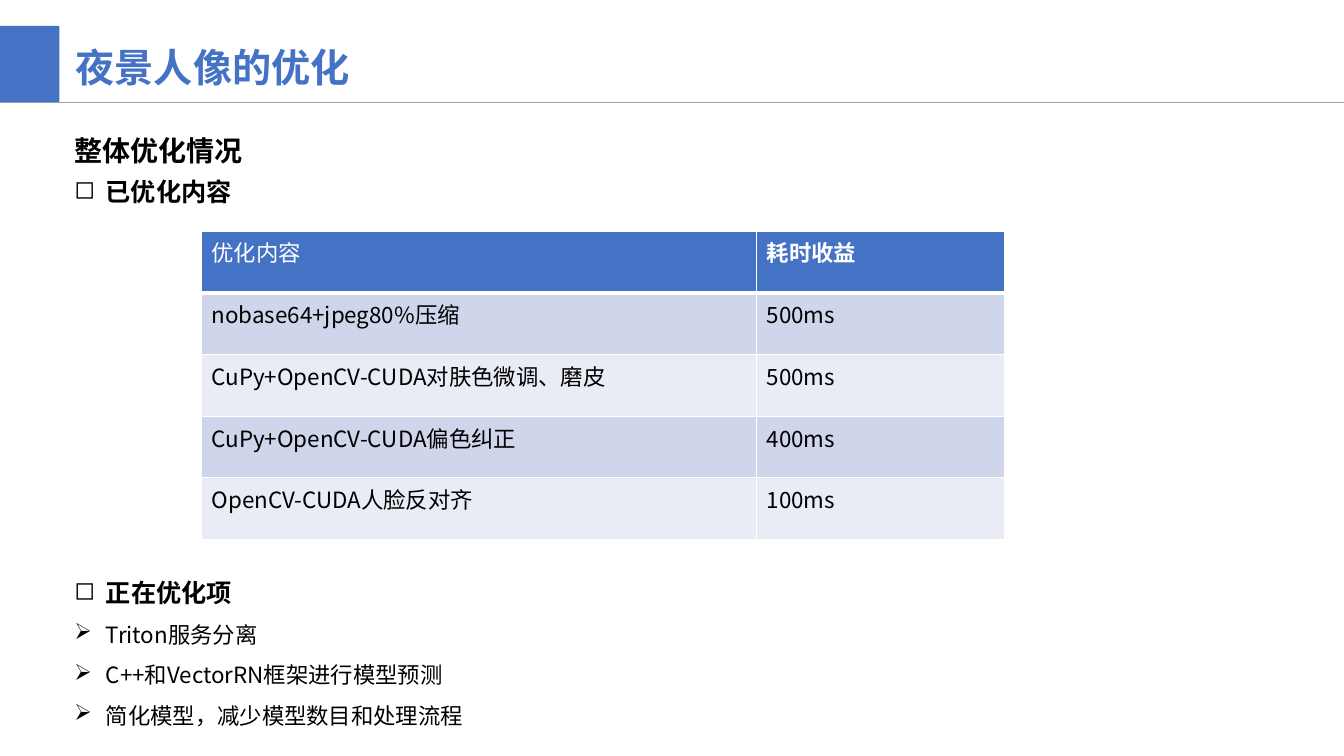
from lxml import etree
from pptx import Presentation
from pptx.dml.color import RGBColor
from pptx.enum.shapes import MSO_CONNECTOR, MSO_SHAPE
from pptx.oxml.ns import qn
from pptx.util import Pt

BLUE, GREY, WHITE, BLACK = "4472C4", "A5A5A5", "FFFFFF", "000000"
BANDS = ("CFD5EA", "E9EBF5")
CJK_FONT = "Noto Sans CJK SC"
INDENT = 22.5

OPTIMISATIONS = [
    ("优化内容", "耗时收益"),
    ("nobase64+jpeg80%压缩", "500ms"),
    ("CuPy+OpenCV-CUDA对肤色微调、磨皮", "500ms"),
    ("CuPy+OpenCV-CUDA偏色纠正", "400ms"),
    ("OpenCV-CUDA人脸反对齐", "100ms"),
]
IN_PROGRESS = [
    "Triton服务分离",
    "C++和VectorRN框架进行模型预测",
    "简化模型，减少模型数目和处理流程",
]


def color(value):
    return RGBColor.from_string(value)


def add_run(paragraph, text, size, bold=False, fill=BLACK, font=CJK_FONT):
    run = paragraph.add_run()
    run.text = text
    run.font.size = Pt(size)
    run.font.bold = bold
    run.font.name = font
    run.font.color.rgb = color(fill)
    east_asian = etree.SubElement(run._r.get_or_add_rPr(), qn("a:ea"))
    east_asian.set("typeface", CJK_FONT)


def set_bullet(paragraph, symbol):
    properties = paragraph._p.get_or_add_pPr()
    properties.set("marL", str(Pt(INDENT)))
    properties.set("indent", str(-Pt(INDENT)))
    etree.SubElement(properties, qn("a:buChar")).set("char", symbol)


def add_text_box(slide, left, top, width, height):
    frame = slide.shapes.add_textbox(Pt(left), Pt(top), Pt(width), Pt(height)).text_frame
    frame.word_wrap = False
    return frame


def add_section(slide, top, width, height, heading, items=()):
    frame = add_text_box(slide, 46, top, width, height)
    set_bullet(frame.paragraphs[0], "◻")
    add_run(frame.paragraphs[0], heading, 18, bold=True)
    for item in items:
        paragraph = frame.add_paragraph()
        set_bullet(paragraph, "➢")
        paragraph.line_spacing = 1.5
        add_run(paragraph, item, 16)


def set_borders(cell, top, bottom):
    properties = cell._tc.get_or_add_tcPr()
    for side, width in (("L", 1), ("R", 1), ("T", top), ("B", bottom)):
        border = etree.SubElement(properties, qn(f"a:ln{side}"), w=str(Pt(width)))
        fill = etree.SubElement(border, qn("a:solidFill"))
        etree.SubElement(fill, qn("a:srgbClr"), val=WHITE)


def add_table(slide, left, top, column_widths, row_height, rows):
    shape = slide.shapes.add_table(
        len(rows), len(column_widths), Pt(left), Pt(top),
        Pt(sum(column_widths)), Pt(row_height * len(rows)))
    table = shape.table
    for column, width in zip(table.columns, column_widths):
        column.width = Pt(width)
    for row_index, texts in enumerate(rows):
        header = row_index == 0
        for column_index, text in enumerate(texts):
            cell = table.cell(row_index, column_index)
            # A thick rule parts the header from the body
            set_borders(cell, 3 if row_index == 1 else 1, 3 if header else 1)
            cell.fill.solid()
            cell.fill.fore_color.rgb = color(BLUE if header else BANDS[(row_index - 1) % 2])
            add_run(cell.text_frame.paragraphs[0], text, 16,
                    bold=header and column_index == 1,
                    fill=WHITE if header else BLACK)


def add_rule(slide, top, width):
    rule = slide.shapes.add_connector(MSO_CONNECTOR.STRAIGHT, 0, Pt(top), Pt(width), Pt(top))
    rule.line.color.rgb = color(GREY)
    rule.line.width = Pt(0.5)
    etree.SubElement(rule._element.spPr, qn("a:effectLst"))


def add_block(slide, left, top, width, height):
    block = slide.shapes.add_shape(MSO_SHAPE.RECTANGLE, Pt(left), Pt(top), Pt(width), Pt(height))
    block.shadow.inherit = False
    block.fill.solid()
    block.fill.fore_color.rgb = color(BLUE)
    block.line.fill.background()


def main():
    presentation = Presentation()
    presentation.slide_width, presentation.slide_height = Pt(960), Pt(540)
    slide = presentation.slides.add_slide(presentation.slide_layouts[6])

    # Title band
    add_rule(slide, 73, 960)
    add_block(slide, 0, 18.5, 42.5, 54.5)
    title = add_text_box(slide, 47, 27.5, 376, 41)
    title.word_wrap = True
    add_run(title.paragraphs[0], "夜景人像的优化", 28, bold=True, fill=BLUE, font="Arial")

    # Finished work
    overview = add_text_box(slide, 46, 91.5, 135, 31.5)
    add_run(overview.paragraphs[0], "整体优化情况", 20, bold=True)
    add_section(slide, 122.5, 128, 29, "已优化内容")
    add_table(slide, 144, 165, (396.5, 177), 44.1, OPTIMISATIONS)

    # Work in progress
    add_section(slide, 409, 295, 116.5, "正在优化项", IN_PROGRESS)

    presentation.save("out.pptx")


if __name__ == "__main__":
    main()
